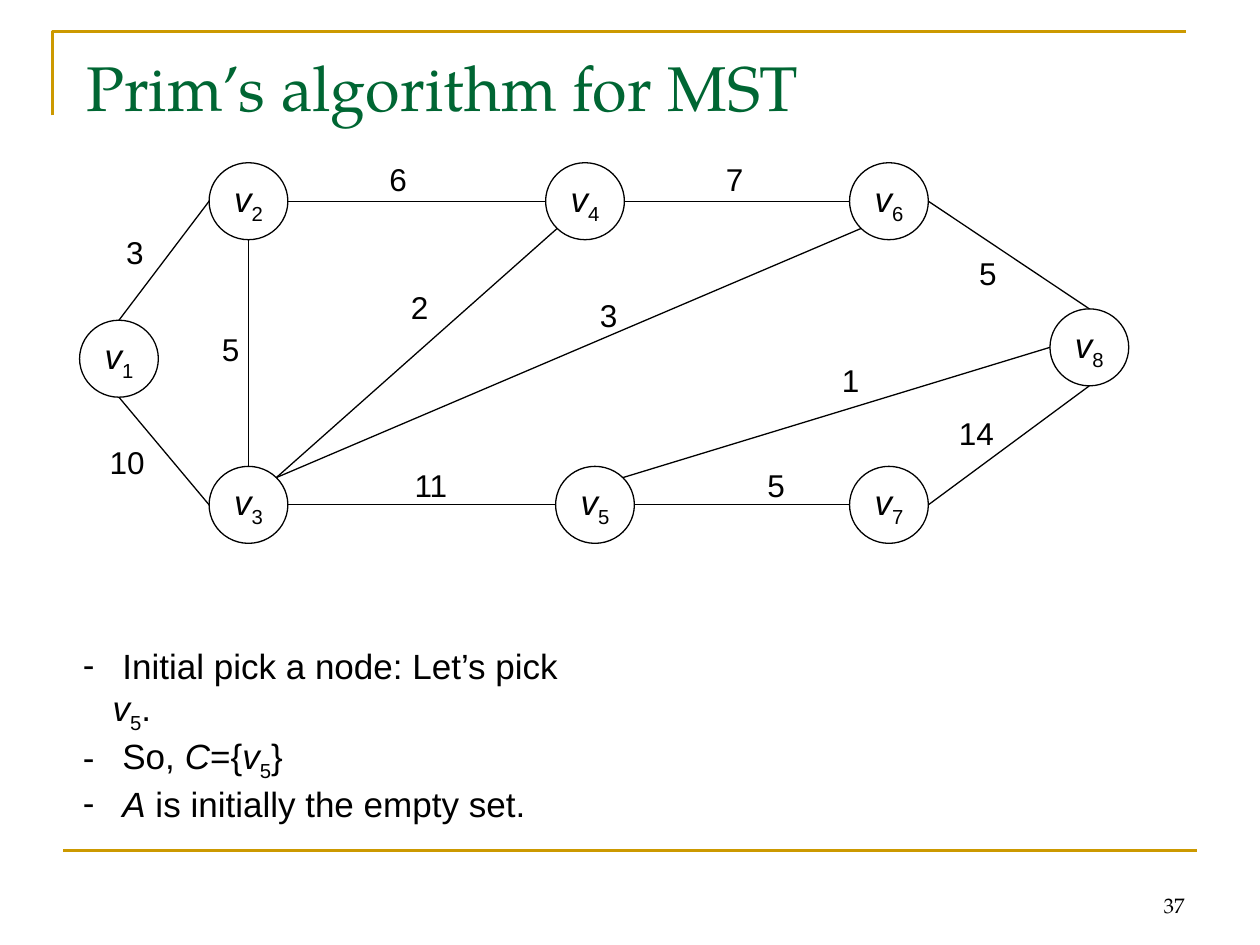
from math import sqrt

from lxml import etree
from pptx import Presentation
from pptx.dml.color import RGBColor
from pptx.enum import shapes, text
from pptx.oxml.ns import qn
from pptx.util import Pt

# Content
TITLE = "Prim’s algorithm for MST"
PAGE = "37"
SANS, SERIF = "Arial", "TeX Gyre Pagella"
BLACK, GREEN, GOLD = "000000", "006633", "CC9900"

# Node number: centre
NODES = {
    1: (68, 205), 2: (142, 115), 3: (142, 288.5), 4: (334.3, 115),
    6: (508, 115), 7: (508, 288.5), 5: (340, 288.5), 8: (622.5, 198.5),
}
WIDE, HIGH = 45, 44

# From node and side, to node and side, weight, centre of the weight
EDGES = [
    (1, "top", 2, "left", "3", (77, 144)),
    (1, "bottom", 3, "left", "10", (72.7, 264.2)),
    (2, "bottom", 3, "top", "5", (131.8, 199.4)),
    (2, "right", 4, "left", "6", (227.5, 102.2)),
    (4, "right", 6, "left", "7", (419.8, 102.2)),
    (6, "right", 8, "top", "5", (564.5, 156.2)),
    (8, "bottom", 7, "right", "14", (558, 247.7)),
    (7, "left", 5, "right", "5", (443.5, 277.2)),
    (5, "left", 3, "right", "11", (246.2, 277.2)),
    (5, "upright", 8, "left", "1", (486, 217.4)),
    (3, "upright", 4, "lowleft", "2", (239.8, 175.7)),
    (3, "upright", 6, "lowleft", "3", (347.8, 180)),
]
DIAG = sqrt(0.5)
SIDES = {
    "top": (0, -1), "left": (-1, 0), "bottom": (0, 1), "right": (1, 0),
    "upright": (DIAG, -DIAG), "lowleft": (-DIAG, DIAG),
}

# Runs: text and style ("i" italic, "sub" subscript)
V5 = [("v", "i"), ("5", "sub")]
STEPS = [
    [(" Initial pick a node: Let’s pick ", ""), *V5, (".", "")],
    [(" So, ", ""), ("C", "i"), ("={", ""), *V5, ("}", "")],
    [(" ", ""), ("A", "i"), (" is initially the empty set.", "")],
]

deck = Presentation()
deck.slide_width, deck.slide_height = Pt(720), Pt(540)
slide = deck.slides.add_slide(deck.slide_layouts[5])
items = slide.shapes


def color(code):
    return RGBColor.from_string(code)


def add_runs(para, runs, size, font=SANS, tint=BLACK):
    for words, style in runs:
        run = para.add_run()
        run.text = words
        run.font.size, run.font.name = Pt(size), font
        run.font.color.rgb = color(tint)
        run.font.italic = style == "i"
        if style == "sub":
            run.font._element.set("baseline", "-25000")


def add_box(left, top, width, height, wrap=True):
    frame = items.add_textbox(Pt(left), Pt(top), Pt(width), Pt(height)).text_frame
    frame.word_wrap = wrap
    return frame


def add_line(start, end, tint=BLACK, width=0.75):
    line = items.add_connector(
        shapes.MSO_CONNECTOR.STRAIGHT, *(Pt(v) for v in (*start, *end)))
    line.line.color.rgb, line.line.width = color(tint), Pt(width)
    etree.SubElement(line._element.spPr, qn("a:effectLst"))


def rim(node, side):
    (x, y), (dx, dy) = NODES[node], SIDES[side]
    return x + dx * WIDE / 2, y + dy * HIGH / 2


# Gold frame lines
path = items.build_freeform(Pt(30), Pt(66))
path.add_line_segments([(Pt(30), Pt(18)), (Pt(678), Pt(18))], close=False)
frame = path.convert_to_shape()
frame.shadow.inherit = False
frame.fill.background()
frame.line.color.rgb, frame.line.width = color(GOLD), Pt(1.5)
add_line((36, 486), (684, 486), GOLD, 1.5)

# Page number
page = add_box(516, 492, 168, 36)
page.vertical_anchor = text.MSO_ANCHOR.BOTTOM
page.paragraphs[0].alignment = text.PP_ALIGN.RIGHT
add_runs(page.paragraphs[0], [(PAGE, "")], 12, SERIF)

# Title
title = items.title
title.left, title.top, title.width, title.height = Pt(42), Pt(24), Pt(648), Pt(90)
title.text_frame.vertical_anchor = text.MSO_ANCHOR.TOP
title.text_frame.auto_size = text.MSO_AUTO_SIZE.NONE
title.text_frame.paragraphs[0].alignment = text.PP_ALIGN.LEFT
add_runs(title.text_frame.paragraphs[0], [(TITLE, "")], 36, SERIF, GREEN)

# Graph nodes
for num, (x, y) in NODES.items():
    node = items.add_shape(
        shapes.MSO_SHAPE.OVAL, Pt(x - WIDE / 2), Pt(y - HIGH / 2), Pt(WIDE), Pt(HIGH))
    node.shadow.inherit = False
    node.fill.background()
    node.line.color.rgb, node.line.width = color(BLACK), Pt(0.75)
    node.text_frame.word_wrap = False
    node.text_frame.vertical_anchor = text.MSO_ANCHOR.MIDDLE
    para = node.text_frame.paragraphs[0]
    para.alignment = text.PP_ALIGN.CENTER
    add_runs(para, [("v", "i"), (str(num), "sub")], 20)

# Graph edges, then their weights
for a, out, b, into, _, _ in EDGES:
    add_line(rim(a, out), rim(b, into))
for *_, weight, (x, y) in EDGES:
    wide = 14.4 + 10 * len(weight)
    para = add_box(x - wide / 2, y - 14.4, wide, 28.8, False).paragraphs[0]
    para.alignment = text.PP_ALIGN.CENTER
    add_runs(para, [(weight, "")], 18)

# Steps
notes = add_box(40.3, 365, 304, 110)
for k, runs in enumerate(STEPS):
    para = notes.add_paragraph() if k else notes.paragraphs[0]
    props = para._p.get_or_add_pPr()
    props.set("marL", str(Pt(17)))
    props.set("indent", str(-Pt(17)))
    etree.SubElement(props, qn("a:buFont")).set("typeface", SANS)
    etree.SubElement(props, qn("a:buChar")).set("char", "-")
    add_runs(para, runs, 20)

deck.save("out.pptx")
